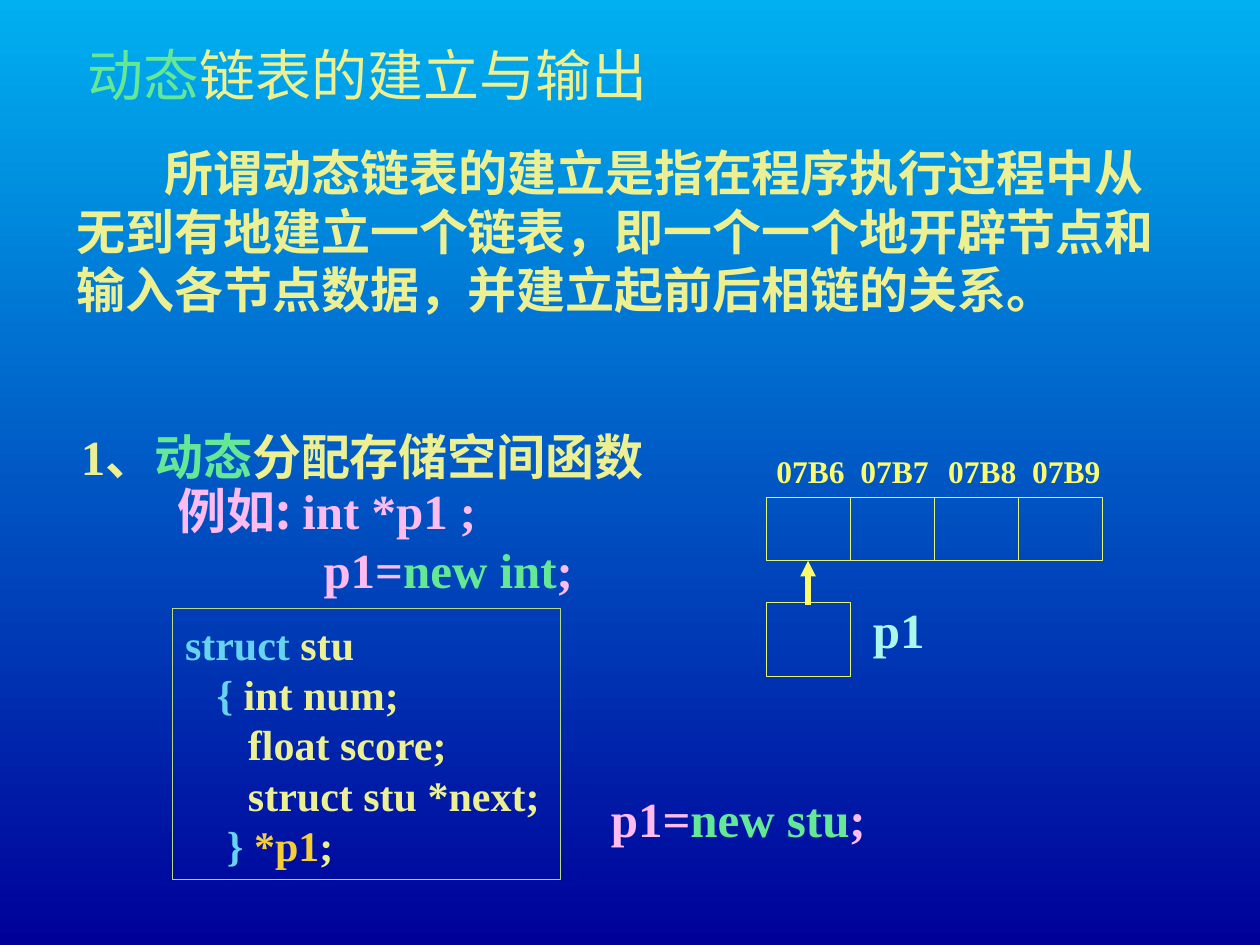
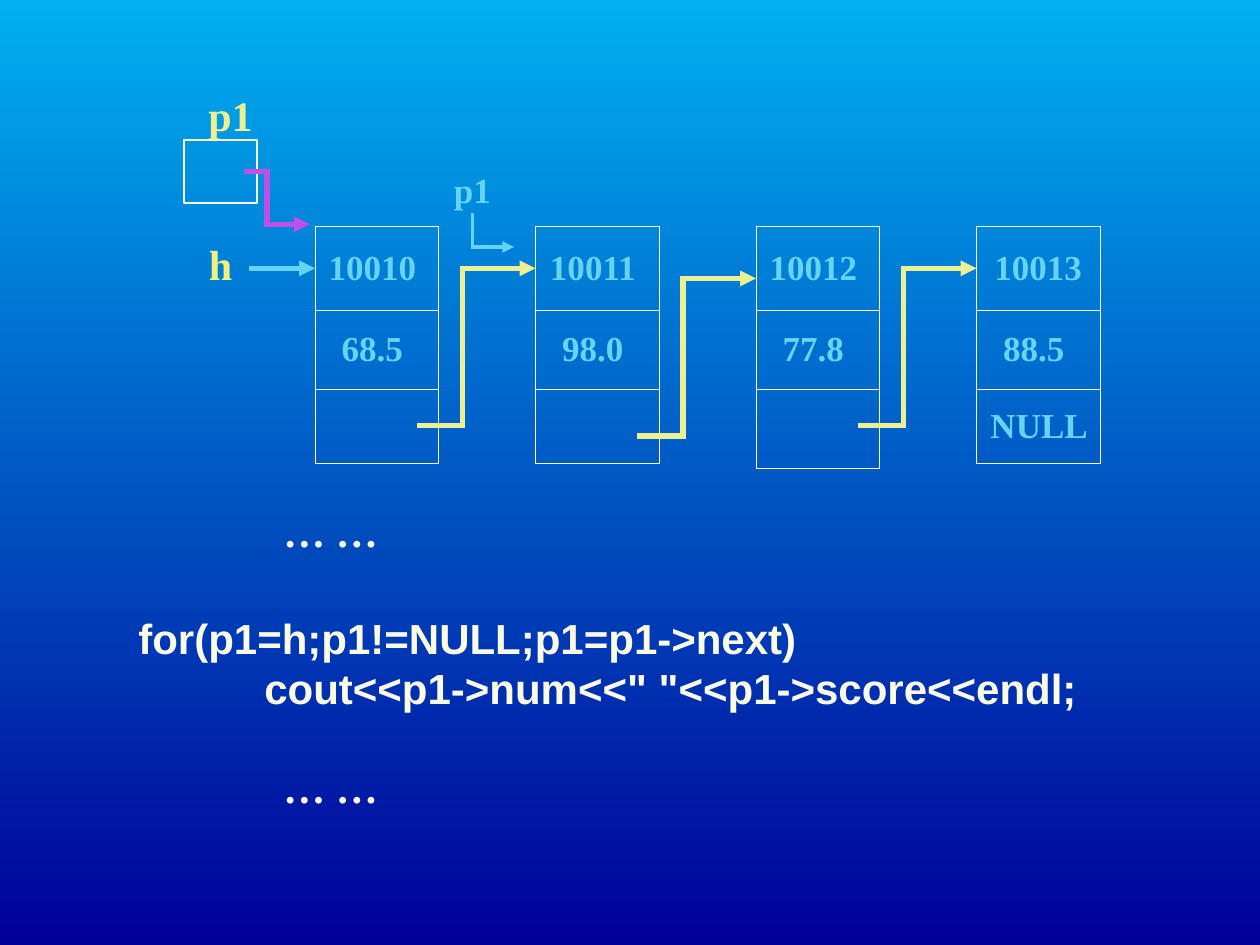
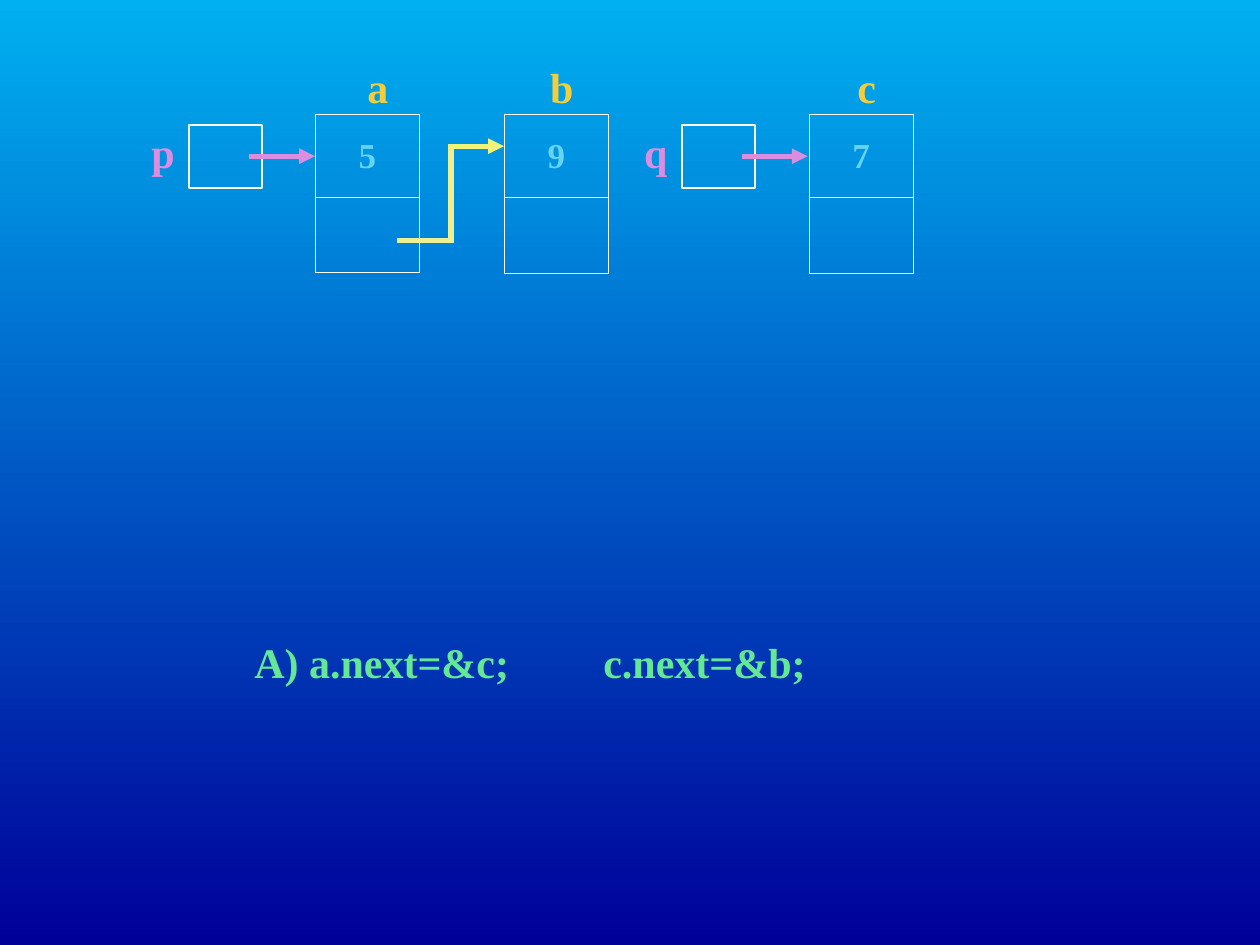
from lxml.etree import SubElement
from pptx import Presentation
from pptx.dml.color import RGBColor
from pptx.enum.shapes import MSO_CONNECTOR, MSO_SHAPE
from pptx.enum.text import MSO_ANCHOR, MSO_AUTO_SIZE, PP_ALIGN
from pptx.oxml import parse_xml
from pptx.oxml.ns import nsdecls, qn
from pptx.util import Inches, Pt

COLORS = {
    "sky": "00B0F0", "navy": "000099", "straw": "ECF092", "green": "64E896",
    "pink": "FDBBF0", "aqua": "ABF7EE", "lime": "E7F470", "yellow": "FBFB6D",
    "olive": "BAD983", "cyan": "66D4EE", "gold": "F5CD39", "ivory": "FBFAE2",
    "purple": "C04EE8", "lemon": "F0F379", "orchid": "DD8DDF",
}
SERIF, SANS, CHINESE = "Times New Roman", "Arial", "Noto Sans CJK SC"


def rgb(name):
    """Return the named colour."""
    return RGBColor.from_string(COLORS[name])


def write(frame, lines, color="straw", size=24, font=SERIF, bold=True,
          align=PP_ALIGN.LEFT, anchor=MSO_ANCHOR.MIDDLE, wrap=False):
    """Fill a frame with lines, each a string or a list of (text, colour, font) spans."""
    frame.word_wrap = wrap
    frame.auto_size = MSO_AUTO_SIZE.NONE
    frame.vertical_anchor = anchor
    for index, line in enumerate(lines):
        para = frame.paragraphs[0] if index == 0 else frame.add_paragraph()
        para.alignment = align
        for text, *style in [(line,)] if isinstance(line, str) else line:
            span = para.add_run()
            span.text = text
            span.font.name = style[1] if len(style) > 1 else font
            span.font.size = Pt(size)
            span.font.bold = bold
            span.font.color.rgb = rgb(style[0] if style else color)


def add_text(page, left, top, width, height, lines, **style):
    """Add a text box and return its frame."""
    box = page.shapes.add_textbox(Inches(left), Inches(top), Inches(width), Inches(height))
    write(box.text_frame, lines, **style)
    return box.text_frame


def add_label(page, left, top, width, text, **style):
    """Add a short centred label."""
    add_text(page, left, top, width, 0.42, [text], align=PP_ALIGN.CENTER, **style)


def indent(para, margin=0, first=0):
    """Set the left margin and first-line indent of a paragraph."""
    props = para._p.get_or_add_pPr()
    props.set("marL", str(Inches(margin)))
    props.set("indent", str(Inches(first)))


def add_outline(page, left, top, width, height, color="ivory", weight=1):
    """Add an unfilled rectangle."""
    box = page.shapes.add_shape(
        MSO_SHAPE.RECTANGLE, Inches(left), Inches(top), Inches(width), Inches(height))
    box.shadow.inherit = False
    box.fill.background()
    box.line.color.rgb = rgb(color)
    box.line.width = Pt(weight)
    return box


def add_arrow(page, points, color, weight=3, tip=None):
    """Draw square-ended segments through the points, with a head on the last one."""
    for index, (start, end) in enumerate(zip(points, points[1:]), 1):
        last = index == len(points) - 1
        line = page.shapes.add_connector(
            MSO_CONNECTOR.STRAIGHT, *(Inches(value) for value in (*start, *end)))
        line.line.color.rgb = rgb(tip if last and tip else color)
        line.line.width = Pt(weight)
        props = line._element.spPr
        stroke = props.find(qn("a:ln"))
        stroke.set("cap", "sq")
        if last:
            SubElement(stroke, qn("a:tailEnd"), type="triangle")
        SubElement(props, qn("a:effectLst"))


def add_node(page, left, top, width, heights, values):
    """Add a one-column table for a list node."""
    table = page.shapes.add_table(
        len(heights), 1, Inches(left), Inches(top), Inches(width), Inches(sum(heights))).table
    table.first_row = table.horz_banding = False
    for row, height, value in zip(table.rows, heights, values):
        row.height = Inches(height)
        cell = row.cells[0]
        cell.margin_left = cell.margin_right = Inches(0.1)
        cell.vertical_anchor = MSO_ANCHOR.MIDDLE
        cell.fill.background()
        props = cell._tc.get_or_add_tcPr()
        for index, edge in enumerate(("lnL", "lnR", "lnT", "lnB")):
            props.insert(index, parse_xml(
                f'<a:{edge} {nsdecls("a")} w="{Pt(0.45)}"><a:solidFill>'
                f'<a:srgbClr val="{COLORS["ivory"]}"/></a:solidFill></a:{edge}>'))
        if value:
            para = cell.text_frame.paragraphs[0]
            para.alignment = PP_ALIGN.CENTER
            span = para.add_run()
            span.text = value
            span.font.name, span.font.size, span.font.bold = SERIF, Pt(20), True
            span.font.color.rgb = rgb("cyan")


def add_memory(page, left, top):
    """Draw four addressed bytes with p1 pointing at the first."""
    side = 2 / 3
    for index, address in enumerate(("07B6", "07B7", "07B8", "07B9")):
        x = left + index * side
        nudge = 0.02 + 0.03 * (index // 2)
        add_outline(page, x, top + 0.42, side, 0.5, "lime", 0.25)
        add_label(page, x + nudge, top, side, address, color="yellow", size=18)
    add_outline(page, left, top + 1.25, side, 0.59, "lime", 0.25)
    middle = left + side / 2
    add_arrow(page, [(middle, top + 1.25), (middle, top + 0.92)], "yellow")
    add_text(page, left + 0.75, top + 1.25, 0.42, 0.42, ["p1"], color="aqua", size=28)


def add_struct(page, left, top):
    """Show the struct declaration in a frame."""
    box = add_outline(page, left, top, 3.08, 2.15, "olive", 0.75)
    write(box.text_frame, [
        [("struct", "cyan"), (" stu",)],
        [("   {", "cyan"), (" int num;",)],
        "      float score;",
        "      struct stu *next;",
        [("    } ", "cyan"), ("*p1", "gold"), (";",)],
    ])


def add_chain(page, left, top):
    """Draw four linked nodes with the pointers p1 and h."""
    step = 1.75
    nodes = [("10010 ", "68.5 ", ""), ("10011 ", "98.0 ", ""),
             ("10012 ", "77.8 ", ""), ("10013", "88.5 ", "NULL ")]
    for index, values in enumerate(nodes):
        x = left + index * step
        add_node(page, x, top, 0.98, (0.66, 0.63, 0.63 if index == 2 else 0.59), values)
        if index < len(nodes) - 1:
            y = top + (0.41 if index == 1 else 0.33)
            add_arrow(page, [(x + 0.83, y + 1.25), (x + 1.17, y + 1.25),
                             (x + 1.17, y), (x + step, y)], "straw")
    add_outline(page, left - 1.04, top - 0.69, 0.58, 0.5)
    add_label(page, left - 0.92, top - 1.1, 0.5, "p1")
    add_arrow(page, [(left - 0.54, top - 0.44), (left - 0.38, top - 0.44),
                     (left - 0.38, top - 0.02), (left - 0.04, top - 0.02)], "purple")
    add_label(page, left - 1, top + 0.08, 0.5, "h", color="lemon")
    add_arrow(page, [(left - 0.5, top + 0.33), (left, top + 0.33)], "cyan")
    add_label(page, left + 1, top - 0.51, 0.5, "p1", color="cyan", size=20)
    add_arrow(page, [(left + 1.25, top - 0.09), (left + 1.25, top + 0.16),
                     (left + 1.58, top + 0.16)], "cyan", 2.25)


def add_loop(page, left, top):
    """Show the output loop between two ellipses."""
    for y in (top, top + 2.03):
        add_text(page, left + 0.96, y, 1.33, 0.33, ["… …"], color="ivory",
                 align=PP_ALIGN.CENTER, wrap=True)
    frame = add_text(page, left, top + 0.76, 8.33, 0.9, [
        "for(p1=h;p1!=NULL;p1=p1->next)",
        'cout<<p1->num<<" "<<p1->score<<endl;',
    ], color="ivory", font=SANS, anchor=MSO_ANCHOR.TOP, wrap=True)
    indent(frame.paragraphs[1], margin=1)


def add_pointer(page, left, top, name):
    """Draw a named pointer box with its arrow."""
    add_label(page, left, top, 0.25, name, color="orchid")
    add_outline(page, left + 0.33, top, 0.58, 0.5)
    add_arrow(page, [(left + 0.83, top + 0.25), (left + 1.33, top + 0.25)], "orchid")


def add_named_node(page, left, top, name, value, shift=0.04, height=0.6):
    """Draw a two-part node under its name."""
    add_label(page, left + 0.17 + shift, top - 0.43, 0.5, name, color="gold")
    add_node(page, left, top, 0.83, (0.66, height), (value, ""))


def build_creation(deck):
    """Build the slide on creating a dynamic list."""
    page = deck.slides.add_slide(deck.slide_layouts[5])
    title = page.shapes.title
    title.left, title.top, title.width, title.height = map(Inches, (0.42, 0.25, 5, 0.67))
    write(title.text_frame, [[("动态", "green"), ("链表的建立与输出",)]],
          size=32, bold=False, align=PP_ALIGN.CENTER)
    intro = add_text(page, 0.51, 1.08, 8.9, 1.5, [
        "所谓动态链表的建立是指在程序执行过程中从无到有地建立一个链表，"
        "即一个一个地开辟节点和输入各节点数据，并建立起前后相链的关系。",
    ], size=28, wrap=True)
    indent(intro.paragraphs[0], first=0.7)
    add_text(page, 0.75, 3.28, 4.25, 0.67,
             [[("1、",), ("动态", "green"), ("分配存储空间函数",)]],
             size=28, align=PP_ALIGN.CENTER)
    example = add_text(page, 1.31, 3.78, 3.67, 1, [
        [("例如: ", "pink", CHINESE), ("int *p1 ;",)],
        [("p1=",), ("new int", "green"), (";",)],
    ], color="pink", size=28, wrap=True)
    indent(example.paragraphs[1], margin=1.16)
    add_memory(page, 6.08, 3.53)
    add_struct(page, 1.37, 4.83)
    add_text(page, 4.75, 5.99, 3.67, 1, [[("p1=",), ("new stu", "green"), (";",)]],
             color="pink", size=28)


def build_output(deck):
    """Build the slide on walking through the list."""
    page = deck.slides.add_slide(deck.slide_layouts[6])
    add_chain(page, 2.5, 1.8)
    add_loop(page, 1, 4.05)


def build_question(deck):
    """Build the slide on inserting a node."""
    page = deck.slides.add_slide(deck.slide_layouts[6])
    add_named_node(page, 2.5, 0.91, "a", "5", shift=0.08, height=0.59)
    add_named_node(page, 4, 0.91, "b", "9")
    add_named_node(page, 6.42, 0.91, "c", "7")
    add_pointer(page, 1.17, 0.99, "p")
    add_pointer(page, 5.08, 0.99, "q")
    add_arrow(page, [(3.17, 1.91), (3.58, 1.91), (3.58, 1.16), (4, 1.16)],
              "straw", tip="lemon")
    answer = add_text(page, 1.92, 4.92, 4.7, 0.67, ["A) a.next=&c;\tc.next=&b;"],
                      color="green", wrap=True)
    tabs = SubElement(answer.paragraphs[0]._p.get_or_add_pPr(), qn("a:tabLst"))
    SubElement(tabs, qn("a:tab"), pos=str(Inches(2.77)), algn="l")


def main():
    """Build and save the deck."""
    deck = Presentation()
    deck.slide_width, deck.slide_height = Inches(10), Inches(7.5)
    fill = deck.slide_master.background.fill
    fill.gradient()
    fill.gradient_angle = 270
    for stop, name in zip(fill.gradient_stops, ("sky", "navy")):
        stop.color.rgb = rgb(name)
    build_creation(deck)
    build_output(deck)
    build_question(deck)
    deck.save("out.pptx")


if __name__ == "__main__":
    main()
